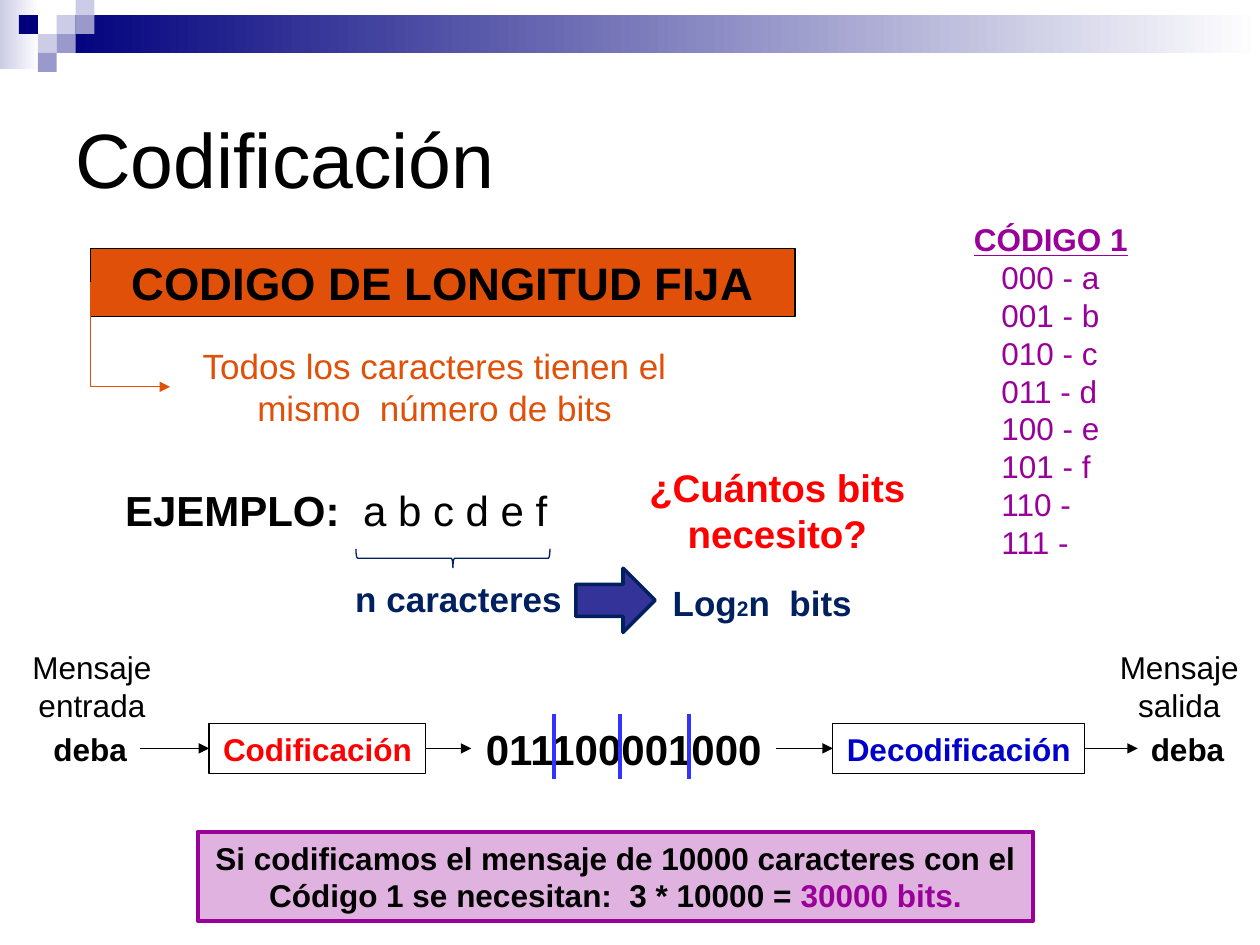
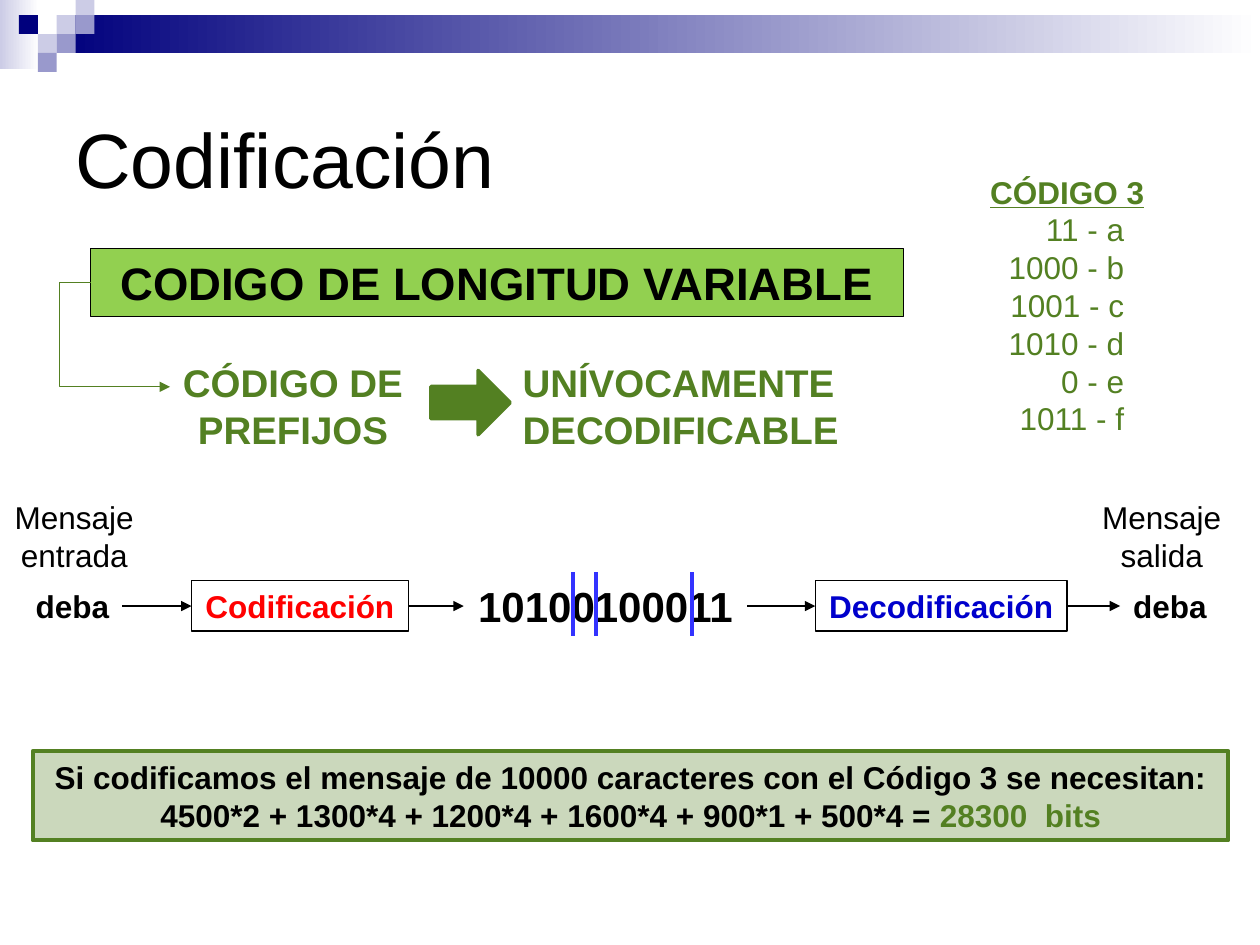
from lxml import etree
from pptx import Presentation
from pptx.dml.color import RGBColor
from pptx.enum.shapes import MSO_CONNECTOR, MSO_SHAPE
from pptx.enum.text import MSO_ANCHOR, PP_ALIGN
from pptx.oxml.ns import qn
from pptx.util import Inches, Pt

RECTANGLE = MSO_SHAPE.RECTANGLE
RIGHT_ARROW = MSO_SHAPE.RIGHT_ARROW
LEFT_BRACE = MSO_SHAPE.LEFT_BRACE
STRAIGHT, ELBOW = MSO_CONNECTOR.STRAIGHT, MSO_CONNECTOR.ELBOW
LEFT, CENTER, RIGHT = PP_ALIGN.LEFT, PP_ALIGN.CENTER, PP_ALIGN.RIGHT
MIDDLE = MSO_ANCHOR.MIDDLE
LEFT_SIDE, RIGHT_SIDE = 1, 3

# Grid: 100 columns by 75 rows on a 10 x 7.5 inch slide
SLIDE_WIDTH, SLIDE_HEIGHT = Inches(10), Inches(7.5)
COLUMNS, ROWS = 100, 75

FONT = "Arial"
BLACK, WHITE, RED, BLUE = "000000", "FFFFFF", "FF0000", "0000CC"
NAVY, PALE, LILAC = "00007D", "CCCCE6", "9999CC"
INK, INDIGO, DIVIDER = "002060", "333399", "3333FF"
PURPLE, ORANGE, GREEN, LIME = "990099", "E05008", "538022", "92D050"


def rgb(color):
    return RGBColor.from_string(color)


def x(columns):
    return int(SLIDE_WIDTH * columns / COLUMNS)


def y(rows):
    return int(SLIDE_HEIGHT * rows / ROWS)


class Deck:
    """Holds the presentation, its style and the slide being built."""

    def __init__(self):
        self.presentation = Presentation()
        self.presentation.slide_width = SLIDE_WIDTH
        self.presentation.slide_height = SLIDE_HEIGHT
        self.slide = None

    def start_slide(self, title):
        blank = self.presentation.slide_layouts[6]
        self.slide = self.presentation.slides.add_slide(blank)
        self.header()
        self.text((5, 5, 90, 15), [title], 44, align=LEFT, wrap=True)

    def header(self):
        """Gradient bands with a checker of small squares."""
        for area, color in (((0, 0, 3.1, 5.5), PALE),
                            ((4.5, 1.2, 95.5, 3), NAVY)):
            band = self.shape(area)
            band.fill.gradient()
            band.fill.gradient_angle = 0
            for stop, stop_color in zip(band.fill.gradient_stops, (color, WHITE)):
                stop.color.rgb = rgb(stop_color)
        self.shape((6, 0, 1.5, 1.2), PALE)
        squares = ((1, 0, PALE), (2, 0, LILAC), (0, 1, PALE),
                   (-1, 0, NAVY), (1, 1, LILAC), (0, 2, LILAC))
        for column, row, color in squares:
            self.shape((3 + 1.5 * column, 1.2 + 1.5 * row, 1.5, 1.5), color)

    def shape(self, area, fill=None, line=None, width=0.75, kind=RECTANGLE, alpha=None):
        left, top, wide, high = area
        shape = self.slide.shapes.add_shape(kind, x(left), y(top), x(wide), y(high))
        shape.shadow.inherit = False
        if fill:
            shape.fill.solid()
            shape.fill.fore_color.rgb = rgb(fill)
        else:
            shape.fill.background()
        if alpha:
            color = shape.element.spPr.find(qn("a:solidFill"))[0]
            etree.SubElement(color, qn("a:alpha"), val=str(alpha * 1000))
        if line:
            shape.line.color.rgb = rgb(line)
            shape.line.width = Pt(width)
        else:
            shape.line.fill.background()
        return shape

    def fill_text(self, shape, paragraphs, size, color=BLACK, bold=False,
                  align=CENTER, wrap=False, underline=False):
        """Each paragraph is a string or a list of (words, changes) runs."""
        frame = shape.text_frame
        frame.word_wrap = wrap
        frame.vertical_anchor = MIDDLE
        for index, runs in enumerate(paragraphs):
            paragraph = frame.paragraphs[0] if index == 0 else frame.add_paragraph()
            paragraph.alignment = align
            font = paragraph.font
            font.name, font.size = FONT, Pt(size)
            font.bold, font.underline = bold, underline
            font.color.rgb = rgb(color)
            if isinstance(runs, str):
                runs = [(runs, {})]
            for words, changes in runs:
                run = paragraph.add_run()
                run.text = words
                if "size" in changes:
                    run.font.size = Pt(changes["size"])
                if "color" in changes:
                    run.font.color.rgb = rgb(changes["color"])
                if "bold" in changes:
                    run.font.bold = changes["bold"]
        return shape

    def text(self, area, paragraphs, size, color=BLACK, **style):
        left, top, wide, high = area
        box = self.slide.shapes.add_textbox(x(left), y(top), x(wide), y(high))
        return self.fill_text(box, paragraphs, size, color, **style)

    def line(self, start, end, color=BLACK, width=0.75, kind=STRAIGHT, arrow=False):
        connector = self.slide.shapes.add_connector(
            kind, x(start[0]), y(start[1]), x(end[0]), y(end[1]))
        connector.line.color.rgb = rgb(color)
        connector.line.width = Pt(width)
        properties = connector.element.spPr
        if arrow:
            etree.SubElement(properties.find(qn("a:ln")), qn("a:tailEnd"), type="triangle")
        etree.SubElement(properties, qn("a:effectLst"))
        return connector

    def elbow(self, color, bend):
        """Arrow from the heading to its explanation; bend is a share of its width."""
        connector = self.line((7.2, 22.4), (13.5, 30.7), color, kind=ELBOW, arrow=True)
        geometry = connector.element.spPr.find(qn("a:prstGeom"))
        guides = geometry.find(qn("a:avLst"))
        if guides is None:
            guides = etree.SubElement(geometry, qn("a:avLst"))
        etree.SubElement(guides, qn("a:gd"), name="adj1", fmla=f"val {round(bend * 100000)}")

    def heading(self, words, wide, fill):
        banner = self.shape((7.2, 19.7, wide, 5.4), fill, BLACK)
        self.fill_text(banner, [words], 26, bold=True, wrap=True)

    def code_list(self, left, top, name, codes, color, align):
        self.text((left, top, 14.4, 4), [name], 18, color, bold=True, underline=True)
        area = (left + (2.3 if align == LEFT else 0.7), top + 3, 12, 3 * len(codes) + 1)
        self.text(area, codes, 18, color, align=align, wrap=True)

    def block_arrow(self, left, top, fill, line):
        self.shape((left, top, 6.3, 5.1), fill, line, 2, RIGHT_ARROW)

    def result(self, area, paragraphs, color):
        box = self.shape(area, color, color, 2.25, alpha=30)
        self.fill_text(box, paragraphs, 18, bold=True, wrap=True)

    def pipeline(self, left, middle, label_top, bits, bits_left, bits_width, dividers):
        """Message in, encoder, bits, decoder, message out."""
        def label(offset, wide, words, size=18):
            return self.text((left + offset, middle - 2, wide, 4), [words], size, bold=True)

        def stage(offset, wide, words, color):
            box = self.shape((left + offset, middle - 2, wide, 4), line=BLACK)
            return self.fill_text(box, [words], 18, color, bold=True)

        steps = [label(0, 7.9, "deba"),
                 stage(13.4, 17.2, "Codificación", RED),
                 label(bits_left - left, bits_width, bits, 24),
                 stage(62.9, 20, "Decodificación", BLUE),
                 label(87.1, 7.9, "deba")]
        for source, target in zip(steps, steps[1:]):
            arrow = self.line((0, 0), (1, 1), arrow=True)
            arrow.begin_connect(source, RIGHT_SIDE)
            arrow.end_connect(target, LEFT_SIDE)
        for offset, words in ((-1.7, "entrada"), (84.6, "salida")):
            self.text((left + offset, label_top, 11.6, 7.1), ["Mensaje", words], 18)
        for divider in dividers:
            self.line((divider, middle - 2.7), (divider, middle + 2.4), DIVIDER, 2.25)


def fixed_length(deck):
    deck.start_slide("Codificación")
    deck.heading("CODIGO DE LONGITUD FIJA", 55.9, ORANGE)
    deck.text((13.5, 26.8, 42, 7.7),
              ["Todos los caracteres tienen el mismo  número de bits"], 20, ORANGE, wrap=True)
    deck.elbow(ORANGE, 0)
    letters = [f"{number:03b} - {letter}" for number, letter in enumerate("abcdef")]
    deck.code_list(76.2, 17, "CÓDIGO 1", letters + ["110 -", "111 -"], PURPLE, LEFT)

    # Example and number of bits
    deck.text((8.4, 37.9, 37.5, 5.1),
              [[("EJEMPLO:  ", {"bold": True}), ("a b c d e f ", {})]], 24)
    deck.text((49.7, 36.3, 24, 8.4), ["¿Cuántos bits necesito?"], 22, RED,
              bold=True, wrap=True)
    brace = deck.shape((35.2, 36.6, 1.5, 15.4), line=INK, kind=LEFT_BRACE)
    brace.rotation = 270
    deck.text((27.1, 45.3, 18.6, 4.4), ["n caracteres"], 20, INK, bold=True)
    deck.text((51.2, 45.6, 18.6, 4.4),
              [[("Log", {}), ("2", {"size": 12}), ("n  bits", {})]], 20, INK, bold=True)
    deck.block_arrow(45.7, 45.1, INDIGO, INK)

    # Message through the code
    deck.pipeline(3.2, 59.4, 50.9, "011100001000", 37.4, 24.2, (44, 49.2, 54.7))
    deck.result((15.7, 66, 66.3, 7.1),
                [[("Si codificamos el mensaje de 10000 caracteres con el Código 1 "
                   "se necesitan:  3 * 10000 = ", {}),
                  ("30000 bits.", {"color": PURPLE})]], PURPLE)


def variable_length(deck):
    deck.start_slide("Codificación")
    deck.heading("CODIGO DE LONGITUD VARIABLE", 64.5, LIME)
    deck.elbow(GREEN, -0.39)
    codes = ["11 - a", "1000 - b", "1001 - c", "1010 - d", "0 - e", "1011 - f"]
    deck.code_list(77.5, 13.2, "CÓDIGO 3", codes, GREEN, RIGHT)

    # Prefix codes can be decoded in one way only
    deck.text((9.7, 28, 27.1, 8.4), ["CÓDIGO DE PREFIJOS"], 22, GREEN, bold=True, wrap=True)
    deck.block_arrow(34.2, 29.4, GREEN, GREEN)
    deck.text((40.5, 28, 27.4, 8.4), ["UNÍVOCAMENTE DECODIFICABLE"], 22, GREEN,
              bold=True, align=LEFT, wrap=True)

    # Message through the code
    deck.pipeline(1.8, 48.1, 39, "10100100011", 36.8, 22.5, (45.5, 47.3, 54.9))
    deck.result((2.6, 59.6, 94.9, 7.1),
                ["Si codificamos el mensaje de 10000 caracteres con el Código 3 se necesitan:",
                 [("4500*2 + 1300*4 + 1200*4 + 1600*4 + 900*1 + 500*4 = ", {}),
                  ("28300  bits", {"color": GREEN})]], GREEN)


def main():
    deck = Deck()
    fixed_length(deck)
    variable_length(deck)
    deck.presentation.save("out.pptx")


if __name__ == "__main__":
    main()
